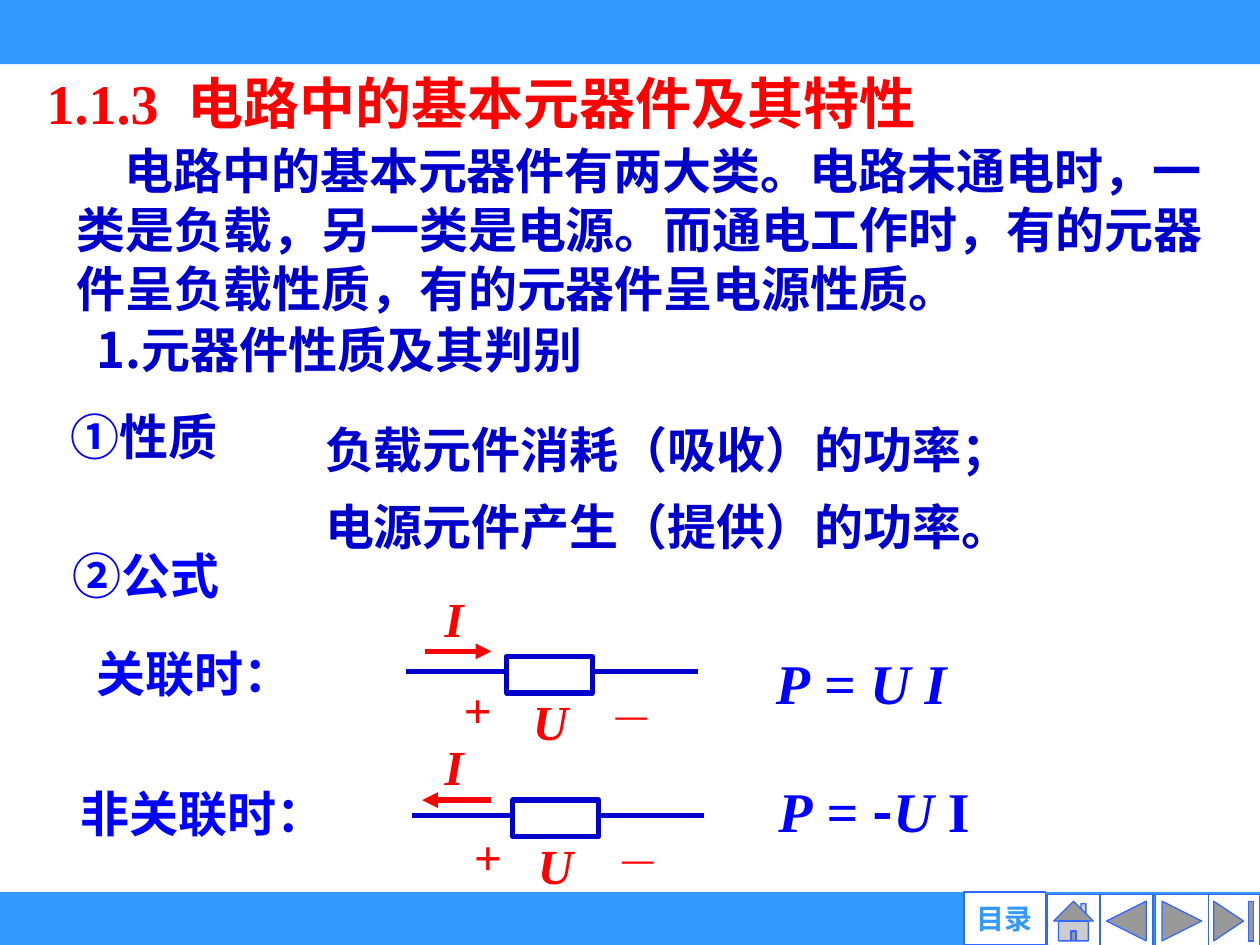
from dataclasses import dataclass
from lxml.etree import SubElement
from pptx import Presentation
from pptx.dml.color import RGBColor
from pptx.enum.shapes import MSO_CONNECTOR, MSO_SHAPE
from pptx.enum.text import MSO_ANCHOR, MSO_AUTO_SIZE, PP_ALIGN
from pptx.oxml.ns import qn
from pptx.util import Inches, Pt


@dataclass
class Theme:
    red: RGBColor = RGBColor(0xFF, 0, 0)
    navy: RGBColor = RGBColor(0, 0, 0xCC)
    blue: RGBColor = RGBColor(0, 0, 0xFF)
    sky: RGBColor = RGBColor(0x33, 0x99, 0xFF)
    edge: RGBColor = RGBColor(0x33, 0x66, 0xFF)
    white: RGBColor = RGBColor(0xFF, 0xFF, 0xFF)
    serif: str = "Times New Roman"
    sans: str = "Arial"
    han: str = "Noto Sans CJK SC"
    head: int = 32
    text: int = 28
    sign: int = 18
    nav: int = 16


T = Theme()


def style(para, size, color, face=T.serif, slant=False):
    font = para.font
    font.size, font.bold, font.italic = Pt(size), True, slant
    font.color.rgb = color
    font.name = face
    base = para._p.pPr.find(qn("a:defRPr"))
    SubElement(base, qn("a:ea"), typeface=T.han)


def put(at, text, color, size=T.text, face=T.serif, slant=False, lead=1.0):
    box = slide.shapes.add_textbox(*map(Inches, at))
    box.text_frame.word_wrap = True
    para = box.text_frame.paragraphs[0]
    para.text = text
    para.line_spacing = lead
    style(para, size, color, face, slant)
    return para


deck = Presentation()
deck.slide_width, deck.slide_height = Inches(10), Inches(7.5)
slide = deck.slides.add_slide(deck.slide_layouts[1])
shapes = slide.shapes

# Top and bottom bands
for top, high in ((-0.01, 0.52), (7.08, 0.42)):
    band = shapes.add_shape(MSO_SHAPE.RECTANGLE, 0, Inches(top), Inches(10), Inches(high))
    band.shadow.inherit = False
    band.fill.solid()
    band.fill.fore_color.rgb = T.sky
    band.line.fill.background()

# Navigation buttons
for kind, left, top, wide, label in (
    (MSO_SHAPE.ACTION_BUTTON_END, 9.58, 7.1, 0.42, ""),
    (MSO_SHAPE.ACTION_BUTTON_FORWARD_OR_NEXT, 9.17, 7.1, 0.42, ""),
    (MSO_SHAPE.ACTION_BUTTON_BACK_OR_PREVIOUS, 8.73, 7.1, 0.42, ""),
    (MSO_SHAPE.ACTION_BUTTON_HOME, 8.31, 7.1, 0.42, ""),
    (MSO_SHAPE.ACTION_BUTTON_CUSTOM, 7.65, 7.08, 0.65, "目录"),
):
    key = shapes.add_shape(kind, Inches(left), Inches(top), Inches(wide), Inches(0.42))
    key.shadow.inherit = False
    key.fill.solid()
    key.fill.fore_color.rgb = T.white
    key.line.color.rgb = T.edge
    key.line.width = Pt(0.75)
    if label:
        frame = key.text_frame
        frame.margin_left = frame.margin_right = 0
        frame.margin_top = frame.margin_bottom = 0
        frame.paragraphs[0].text = label
        frame.paragraphs[0].alignment = PP_ALIGN.CENTER
        style(frame.paragraphs[0], T.nav, T.sky, T.sans)

# Title, with a tab stop after the number
title = shapes.title
title.left, title.top, title.width, title.height = map(Inches, (0.27, 0.6, 7.64, 0.55))
frame = title.text_frame
frame.auto_size = MSO_AUTO_SIZE.NONE
frame.vertical_anchor = MSO_ANCHOR.TOP
para = frame.paragraphs[0]
para.text = "1.1.3\t电路中的基本元器件及其特性"
para.alignment = PP_ALIGN.LEFT
para.line_spacing = 0.8
tabs = SubElement(para._p.get_or_add_pPr(), qn("a:tabLst"))
SubElement(tabs, qn("a:tab"), pos=str(Inches(1.12)), algn="l")
style(para, T.head, T.red)

# Introduction and section heading
intro = put((0.51, 1.07, 9.18, 1.5),
            "电路中的基本元器件有两大类。电路未通电时，一类是负载，另一类是电源。"
            "而通电工作时，有的元器件呈负载性质，有的元器件呈电源性质。",
            T.navy, face=T.han)
intro._p.pPr.set("indent", str(Inches(0.38)))
put((0.67, 2.49, 4.31, 0.57), "1.元器件性质及其判别", T.navy, face=T.han)

# Labels down the left side
mark = put((0.46, 3.04, 2.1, 0.71), "①", T.blue, lead=1.3)
run = mark.add_run()
run.text = "性质"
run.font.color.rgb = T.navy
for left, top, wide, text in (
    (0.48, 4.14, 2, "②公式"),
    (0.67, 4.92, 2, "关联时："),
    (0.54, 6.03, 2.56, "非关联时："),
):
    put((left, top, wide, 0.71), text, T.blue, lead=1.3)

# Statements about power
body = slide.placeholders[1]
body.left, body.top, body.width, body.height = map(Inches, (2.48, 3.14, 6.3, 1.32))
frame = body.text_frame
frame.auto_size = MSO_AUTO_SIZE.NONE
frame.text = "负载元件消耗（吸收）的功率；\n电源元件产生（提供）的功率。"
for para in frame.paragraphs:
    para.line_spacing = 1.3
    para.space_before = Pt(0)
    form = para._p.get_or_add_pPr()
    form.set("marL", "0")
    form.set("indent", "0")
    SubElement(form, qn("a:buNone"))
    style(para, T.text, T.navy)

# Circuits: wire start, wire height, current arrow, sign and letter places
for left, mid, start, end, flow, amp, volt, plus, minus in (
    (3.22, 5.33, 3.37, 3.9, 5.17, (3.43, 4.62), (4.13, 5.44), (3.58, 5.34), (4.79, 5.47)),
    (3.27, 6.47, 3.9, 3.35, 6.35, (3.43, 5.8), (4.17, 6.58), (3.66, 6.51), (4.84, 6.61)),
):
    for begin, stop, level, color in (
        (left, left + 2.32, mid, T.navy),
        (start, end, flow, T.red),
    ):
        line = shapes.add_connector(MSO_CONNECTOR.STRAIGHT, Inches(begin), Inches(level),
                                    Inches(stop), Inches(level))
        line.line.color.rgb = color
        line.line.width = Pt(3)
        if color == T.red:
            SubElement(line.line._get_or_add_ln(), qn("a:tailEnd"), type="triangle")
        SubElement(line._element.spPr, qn("a:effectLst"))
    part = shapes.add_shape(MSO_SHAPE.RECTANGLE, Inches(left + 0.8), Inches(mid - 0.12),
                            Inches(0.68), Inches(0.29))
    part.shadow.inherit = False
    part.fill.solid()
    part.fill.fore_color.rgb = T.white
    part.line.color.rgb = T.navy
    part.line.width = Pt(3)
    for spot, text, wide, size in (
        (amp, "I", 0.35, T.text),
        (volt, "U", 0.48, T.text),
        (plus, "+", 0.42, T.text),
        (minus, "—", 0.45, T.sign),
    ):
        put((*spot, wide, 0.57), text, T.red, size, slant=True)

# Formulas: upright pieces are flagged False
for at, bits in (
    ((6.06, 4.94, 1.83, 0.79), ((" = ", False), ("U I", True))),
    ((6.08, 5.95, 2.15, 0.79), ((" = ", False), ("-", False), ("U ", True), ("I", False))),
):
    para = put(at, "P", T.blue, T.head, slant=True, lead=1.3)
    for text, slant in bits:
        run = para.add_run()
        run.text = text
        run.font.italic = slant
        if text == "-":
            run.font.name = T.han

deck.save("out.pptx")
